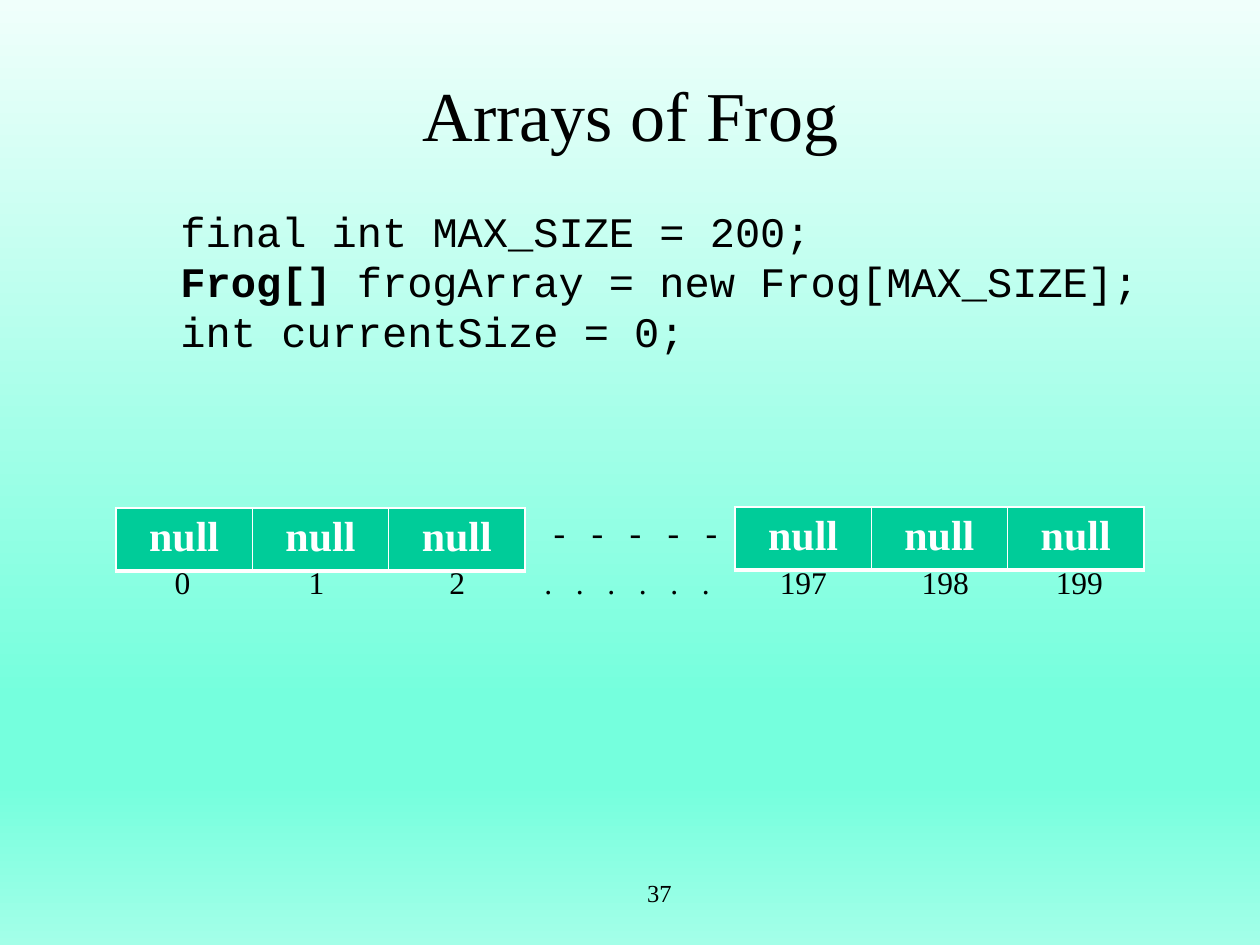
from pptx import Presentation
from pptx.dml.color import RGBColor
from pptx.enum.text import MSO_ANCHOR, PP_ALIGN
from pptx.oxml import parse_xml
from pptx.oxml.ns import nsdecls, qn
from pptx.util import Pt

PX = 914400 // 126
LEFT, RIGHT, CENTER = PP_ALIGN.LEFT, PP_ALIGN.RIGHT, PP_ALIGN.CENTER
MIDDLE = MSO_ANCHOR.MIDDLE
BLACK = RGBColor(0, 0, 0)
WHITE = RGBColor(255, 255, 255)
GREEN = RGBColor(0, 0xCC, 0x99)
SERIF, MONO = "Times New Roman", "Courier New"
INSET = 13

# Content
TITLE = "Arrays of Frog"
CODE = [
    [("final int MAX_SIZE = 200;", False)],
    [("Frog[] ", True), ("frogArray = new Frog[MAX_SIZE];", False)],
    [("int currentSize = 0;", False)],
]
PAGE = "37"
CELLS = ["null"] * 3
TABLES = [(116, 508), (735, 507)]
DOTS = [(".", 549 + 31.5 * i) for i in range(6)]
INDEX = [("0", 183), ("1", 317), ("2", 458), *DOTS,
         ("197", 804), ("198", 946), ("199", 1080)]
DASHES = [("-", 560 + 38 * i) for i in range(5)]
STOPS = [(0, RGBColor(0xF0, 0xFF, 0xFB)), (74, RGBColor(0x75, 0xFF, 0xDD)),
         (83, RGBColor(0x75, 0xFF, 0xDD)), (100, RGBColor(0xA3, 0xFF, 0xE8))]
EDGES = [("L", 1), ("R", 1), ("T", 1), ("B", 3)]


def px(n):
    return round(n * PX)


def add_run(para, text, size, color=BLACK, font=SERIF, bold=False):
    run = para.add_run()
    run.text = text
    run.font.size = Pt(size)
    run.font.name = font
    run.font.bold = bold
    run.font.color.rgb = color


def add_box(x, y, w, h, lines, size, font=SERIF, align=LEFT, wrap=True):
    frame = slide.shapes.add_textbox(px(x), px(y), px(w), px(h)).text_frame
    frame.word_wrap = wrap
    for i, runs in enumerate(lines):
        para = frame.add_paragraph() if i else frame.paragraphs[0]
        para.alignment = align
        for text, bold in runs:
            add_run(para, text, size, font=font, bold=bold)
    return frame


def add_marks(x, y, w, h, marks, size):
    """One line of text with each mark centred on its own tab stop."""
    line = "".join("\t" + text for text, _ in marks)
    frame = add_box(x, y, w, h, [[(line, False)]], size)
    tabs = "".join(f'<a:tab pos="{px(mid - x - INSET)}" algn="ctr"/>'
                   for _, mid in marks)
    props = frame.paragraphs[0]._p.get_or_add_pPr()
    props.append(parse_xml(f'<a:tabLst {nsdecls("a")}>{tabs}</a:tabLst>'))


def add_edges(cell):
    props = cell._tc.get_or_add_tcPr()
    for i, (side, width) in enumerate(EDGES):
        props.insert(i, parse_xml(
            f'<a:ln{side} {nsdecls("a")} w="{Pt(width)}"><a:solidFill>'
            f'<a:srgbClr val="{WHITE}"/></a:solidFill></a:ln{side}>'))


def add_cells(x, y):
    table = slide.shapes.add_table(
        1, len(CELLS), px(x), px(y), px(409), px(52)).table
    table.first_row = table.horz_banding = False
    for cell, text in zip(table.rows[0].cells, CELLS):
        cell.fill.solid()
        cell.fill.fore_color.rgb = GREEN
        para = cell.text_frame.paragraphs[0]
        para.alignment = CENTER
        add_run(para, text, 24, WHITE, bold=True)
        add_edges(cell)


deck = Presentation()
deck.slide_width, deck.slide_height = px(1260), px(945)
slide = deck.slides.add_slide(deck.slide_layouts[5])

# Background
fill = slide.background.fill
fill.gradient()
fill.gradient_angle = 270
stops = next(slide._element.iter(qn("a:gsLst")))
for stop in list(stops):
    stops.remove(stop)
for pos, color in STOPS:
    stops.append(parse_xml(f'<a:gs {nsdecls("a")} pos="{pos * 1000}">'
                           f'<a:srgbClr val="{color}"/></a:gs>'))

# Title
title = slide.shapes.title
title.left, title.top, title.width, title.height = map(px, (95, 53, 1071, 121))
title.text_frame.vertical_anchor = MIDDLE
head = title.text_frame.paragraphs[0]
head.alignment = CENTER
add_run(head, TITLE, 40)

# Page number, index row and code
add_box(604, 872, 80, 50, [[(PAGE, False)]], 14, align=RIGHT)
add_marks(116, 557, 1029, 50, INDEX, 18)
add_box(168, 199, 990, 165, CODE, 24, MONO, wrap=False)

# Array cells and the gap between them
for x, y in TABLES:
    add_cells(x, y)
add_marks(525, 504, 210, 55, DASHES, 20)

deck.save("out.pptx")
